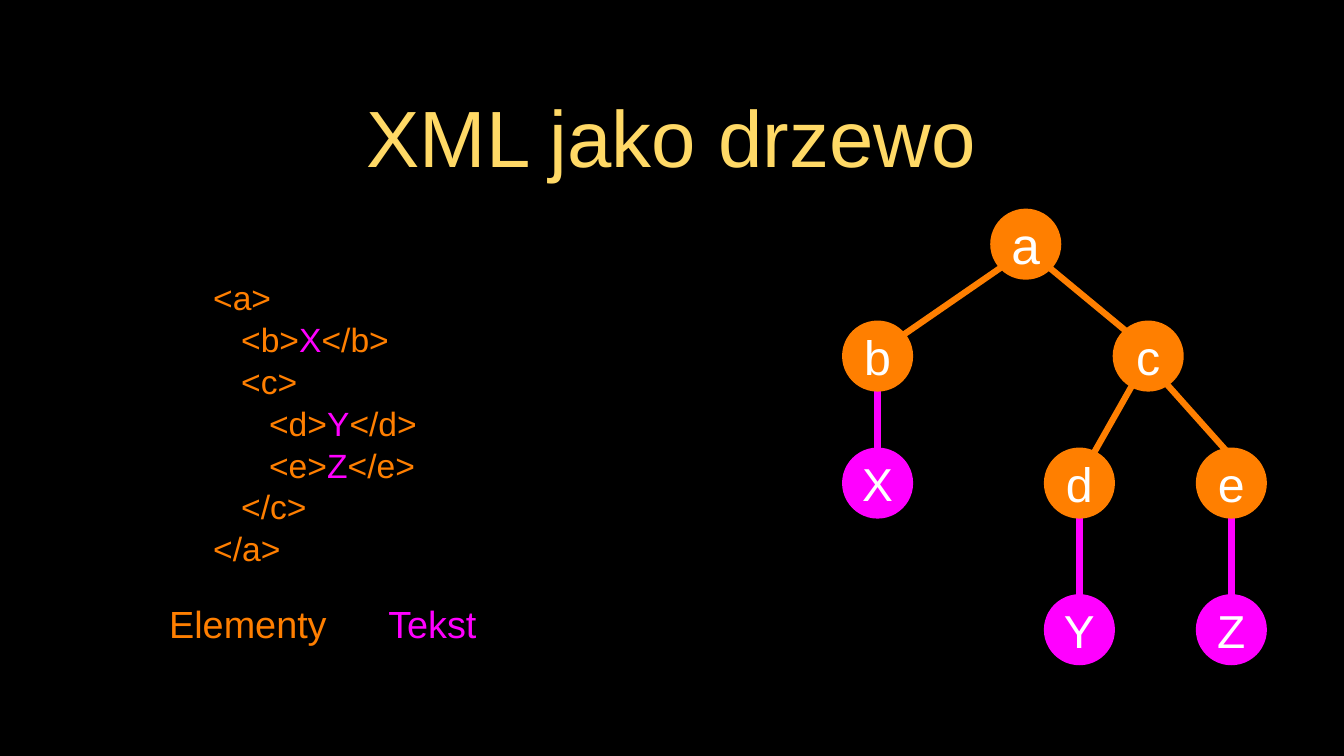
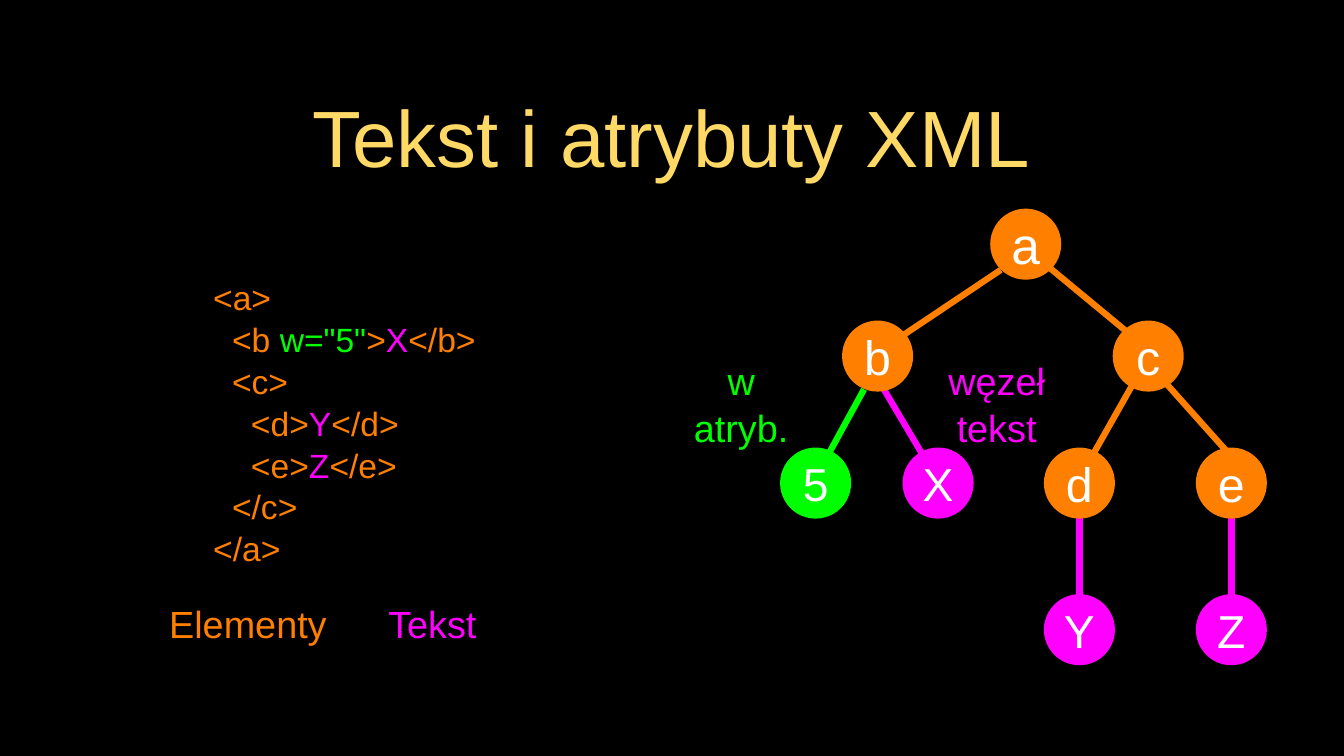
from dataclasses import dataclass

from lxml import etree
from pptx import Presentation
from pptx.dml.color import RGBColor
from pptx.enum.shapes import MSO_CONNECTOR, MSO_SHAPE
from pptx.enum.text import MSO_ANCHOR, PP_ALIGN
from pptx.oxml.ns import qn
from pptx.util import Inches, Pt

CENTER, LEFT = PP_ALIGN.CENTER, PP_ALIGN.LEFT
MIDDLE = MSO_ANCHOR.MIDDLE
OVAL = MSO_SHAPE.OVAL
STRAIGHT = MSO_CONNECTOR.STRAIGHT
BLANK_LAYOUT = 6


@dataclass(frozen=True)
class Theme:
    font: str = "Arial"
    background: str = "000000"
    title: str = "FFD966"
    element: str = "FF7F00"
    text: str = "FF00FF"
    attribute: str = "00FF00"
    node_label: str = "FFFFFF"
    title_size: int = 76
    code_size: int = 32
    caption_size: int = 36
    root_size: int = 49
    element_size: int = 46
    leaf_size: int = 44
    edge_width: int = 6
    line_spacing: float = 1.04
    node_diameter: float = 0.94


THEME = Theme()
ELEMENT, TEXT, ATTRIBUTE = THEME.element, THEME.text, THEME.attribute

# Tree levels: the top of each row of nodes.
ROOT_ROW, CHILD_ROW, GRANDCHILD_ROW, LEAF_ROW = 2.76, 4.24, 5.92, 7.86
B_COLUMN, D_COLUMN, E_COLUMN = 11.14, 13.81, 15.82

# Nodes: label, left, top, colour, type size.
SHARED_NODES = [
    ("a", 13.1, ROOT_ROW, ELEMENT, THEME.root_size),
    ("b", B_COLUMN, CHILD_ROW, ELEMENT, THEME.element_size),
    ("c", 14.72, CHILD_ROW, ELEMENT, THEME.element_size),
    ("d", D_COLUMN, GRANDCHILD_ROW, ELEMENT, THEME.element_size),
    ("e", E_COLUMN, GRANDCHILD_ROW, ELEMENT, THEME.element_size),
    ("Y", D_COLUMN, LEAF_ROW, TEXT, THEME.leaf_size),
    ("Z", E_COLUMN, LEAF_ROW, TEXT, THEME.leaf_size),
]

# Edges: start, end, colour.
SHARED_EDGES = [
    ((14.28, 6.77), (14.28, 7.9), TEXT),
    ((16.29, 6.77), (16.29, 7.9), TEXT),
    ((13.81, 3.48), (14.97, 4.44), ELEMENT),
    ((15.01, 5.04), (14.41, 6.1), ELEMENT),
    ((15.38, 5.02), (16.22, 5.96), ELEMENT),
]

# Markup lines: nesting level, then coloured pieces.
TREE_B_LINE = [("<b>", ELEMENT), ("X", TEXT), ("</b>", ELEMENT)]
ATTRIBUTE_B_LINE = [("<b ", ELEMENT), ('w="5"', ATTRIBUTE), (">", ELEMENT),
                    ("X", TEXT), ("</b>", ELEMENT)]


def markup_lines(b_line):
    return [
        (0, [("<a>", ELEMENT)]),
        (1, b_line),
        (1, [("<c>", ELEMENT)]),
        (2, [("<d>", ELEMENT), ("Y", TEXT), ("</d>", ELEMENT)]),
        (2, [("<e>", ELEMENT), ("Z", TEXT), ("</e>", ELEMENT)]),
        (1, [("</c>", ELEMENT)]),
        (0, [("</a>", ELEMENT)]),
    ]


def rgb(color):
    return RGBColor.from_string(color)


def prepare_frame(shape, margin=0):
    frame = shape.text_frame
    frame.word_wrap = True
    frame.vertical_anchor = MIDDLE
    frame.margin_left = frame.margin_right = Inches(margin)
    frame.margin_top = frame.margin_bottom = Inches(margin)
    return frame


def write_lines(frame, lines, size, align=CENTER, indent=0):
    """Fill a frame with (level, [(text, colour), ...]) lines."""
    for number, (level, pieces) in enumerate(lines):
        paragraph = frame.add_paragraph() if number else frame.paragraphs[0]
        paragraph.alignment = align
        paragraph.font.name = THEME.font
        paragraph.font.size = Pt(size)
        if len(lines) > 1:
            paragraph.line_spacing = THEME.line_spacing
        if level:
            properties = paragraph._p.get_or_add_pPr()
            properties.set("marL", str(Inches(level * indent)))
            properties.set("indent", "0")
        colors = {color for _, color in pieces}
        if len(colors) == 1:
            paragraph.font.color.rgb = rgb(colors.pop())
        for text, color in pieces:
            run = paragraph.add_run()
            run.text = text
            if len(pieces) > 1:
                run.font.color.rgb = rgb(color)


def add_label(slide, box, lines, color, size, margin=0):
    label = slide.shapes.add_textbox(*map(Inches, box))
    frame = prepare_frame(label, margin)
    write_lines(frame, [(0, [(line, color)]) for line in lines], size)


def add_markup(slide, width, b_line, indent):
    box = slide.shapes.add_textbox(*map(Inches, (2.82, 3.46, width, 4.24)))
    write_lines(prepare_frame(box), markup_lines(b_line),
                THEME.code_size, LEFT, indent)


def add_edge(slide, start, end, color):
    edge = slide.shapes.add_connector(STRAIGHT, *map(Inches, start + end))
    edge.line.color.rgb = rgb(color)
    edge.line.width = Pt(THEME.edge_width)
    etree.SubElement(edge._element.spPr, qn("a:effectLst"))


def add_node(slide, label, left, top, color, size):
    diameter = Inches(THEME.node_diameter)
    node = slide.shapes.add_shape(OVAL, Inches(left), Inches(top),
                                  diameter, diameter)
    node.shadow.inherit = False
    node.fill.solid()
    node.fill.fore_color.rgb = rgb(color)
    node.line.fill.background()
    frame = prepare_frame(node)
    frame.word_wrap = False
    write_lines(frame, [(0, [(label, THEME.node_label)])], size)


def add_tree(slide, extra_edges, extra_nodes):
    for edge in SHARED_EDGES + extra_edges:
        add_edge(slide, *edge)
    for node in SHARED_NODES + extra_nodes:
        add_node(slide, *node)


def add_base_slide(prs, title):
    """Add a slide with its title and the colour legend."""
    slide = prs.slides.add_slide(prs.slide_layouts[BLANK_LAYOUT])
    add_label(slide, (1.26, 0.83, 15.24, 1.94), [title],
              THEME.title, THEME.title_size, margin=0.04)
    add_label(slide, (2.12, 7.9, 2.32, 0.68), ["Elementy"],
              ELEMENT, THEME.caption_size)
    add_label(slide, (4.98, 7.9, 1.48, 0.68), ["Tekst"],
              TEXT, THEME.caption_size)
    return slide


def add_xml_tree_slide(prs):
    slide = add_base_slide(prs, "XML jako drzewo")
    add_markup(slide, 2.98, TREE_B_LINE, indent=0.37)
    add_tree(
        slide,
        [((11.61, 5.01), (11.61, 6.14), TEXT),
         ((13.4, 3.43), (11.82, 4.52), ELEMENT)],
        [("X", B_COLUMN, GRANDCHILD_ROW, TEXT, THEME.leaf_size)],
    )


def add_attributes_slide(prs):
    slide = add_base_slide(prs, "Tekst i atrybuty XML")
    add_markup(slide, 4.02, ATTRIBUTE_B_LINE, indent=0.25)
    add_tree(
        slide,
        [((11.61, 5.01), (12.22, 6.04), TEXT),
         ((13.24, 3.57), (11.82, 4.52), ELEMENT),
         ((11.43, 5.15), (10.97, 5.99), ATTRIBUTE)],
        [("X", 11.94, GRANDCHILD_ROW, TEXT, THEME.leaf_size),
         ("5", 10.32, GRANDCHILD_ROW, ATTRIBUTE, THEME.leaf_size)],
    )
    add_label(slide, (8.89, 4.7, 1.83, 1.25), ["w", "atryb."],
              ATTRIBUTE, THEME.caption_size)
    add_label(slide, (12.33, 4.71, 1.71, 1.25), ["węzeł", "tekst"],
              TEXT, THEME.caption_size)


def main():
    prs = Presentation()
    prs.slide_width, prs.slide_height = Inches(17.78), Inches(10)
    backdrop = prs.slide_master.background.fill
    backdrop.solid()
    backdrop.fore_color.rgb = rgb(THEME.background)
    add_xml_tree_slide(prs)
    add_attributes_slide(prs)
    prs.save("out.pptx")


if __name__ == "__main__":
    main()
